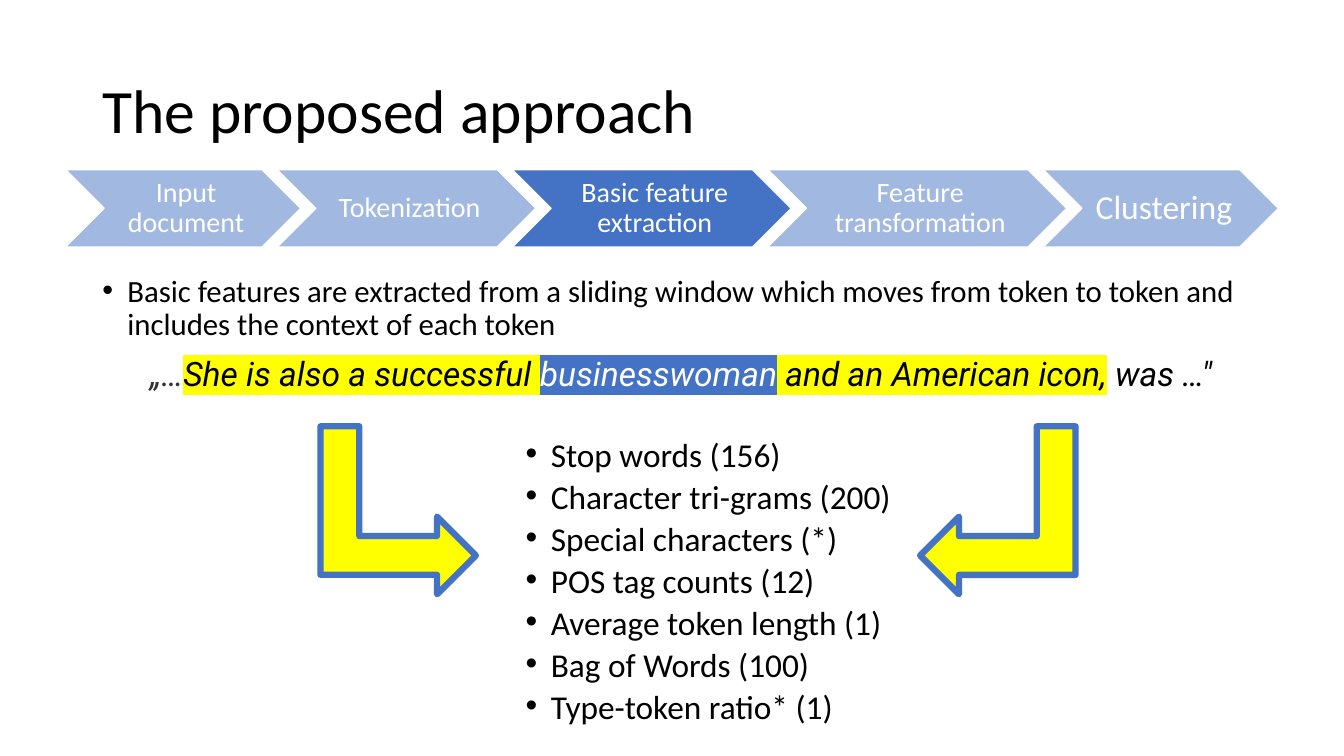
import lxml.etree
import pptx
import pptx.dml.color
import pptx.enum.shapes
import pptx.enum.text
import pptx.oxml.ns
import pptx.util

CELL = 1 / 12
BLUE, YELLOW, BLACK, WHITE = "4472C4", "FFFF00", "000000", "FFFFFF"
SHAPES = pptx.enum.shapes.MSO_SHAPE
ANCHORS = pptx.enum.text.MSO_ANCHOR
CENTER = pptx.enum.text.PP_ALIGN.CENTER


def color(value):
    """Turn a hex string into a colour."""
    return pptx.dml.color.RGBColor.from_string(value)


def cells(*values):
    """Turn grid cells into lengths."""
    return [pptx.util.Inches(v * CELL) for v in values]


def child(parent, tag, **attributes):
    """Append a drawing element to its parent."""
    el = lxml.etree.SubElement(parent, pptx.oxml.ns.qn(tag))
    for name, value in attributes.items():
        el.set(name, value)
    return el


def add_run(p, text, size, value=BLACK, font="Calibri", italic=None, highlight=None):
    """Add one formatted run to a paragraph."""
    r = p.add_run()
    r.text = text
    r.font.size = pptx.util.Pt(size)
    r.font.name = font
    r.font.italic = italic
    r.font.color.rgb = color(value)
    if highlight:
        rpr = r.font._element
        mark = child(rpr, "a:highlight")
        child(mark, "a:srgbClr", val=highlight)
        rpr.find(pptx.oxml.ns.qn("a:solidFill")).addnext(mark)


def add_text(s, box, anchor=ANCHORS.TOP):
    """Add a wrapping text box and return its text frame."""
    tf = s.shapes.add_textbox(*cells(*box)).text_frame
    tf.word_wrap = True
    tf.vertical_anchor = anchor
    return tf


def add_shape(s, kind, box, fill, line, width):
    """Add a filled and outlined preset shape."""
    sp = s.shapes.add_shape(kind, *cells(*box))
    sp.shadow.inherit = False
    sp.fill.solid()
    sp.fill.fore_color.rgb = color(fill)
    sp.line.color.rgb = color(line)
    sp.line.width = pptx.util.Pt(width)
    return sp


def add_title(s, box, text):
    """Add the slide title."""
    p = add_text(s, box, ANCHORS.MIDDLE).paragraphs[0]
    p.line_spacing = 0.9
    add_run(p, text, 44)


def add_bullets(s, box, items, size, spacing):
    """Add a bulleted list."""
    tf = add_text(s, box)
    for i, item in enumerate(items):
        p = tf.add_paragraph() if i else tf.paragraphs[0]
        p.line_spacing = spacing
        p.space_before = pptx.util.Pt(10)
        ppr = p._p.get_or_add_pPr()
        indent = pptx.util.Inches(0.25)
        ppr.set("marL", str(indent))
        ppr.set("indent", str(-indent))
        child(ppr, "a:buFont", typeface="Arial")
        child(ppr, "a:buChar", char="•")
        add_run(p, item, size)


def add_quote(s, box, parts):
    """Add the example sentence with its highlighted window."""
    p = add_text(s, box).paragraphs[0]
    for text, value, highlight in parts:
        add_run(p, text, 24, value, "Roboto", True, highlight)


def add_process(s, box, steps, current, overlap=2.8):
    """Add a chain of chevrons with the current step in full colour."""
    left, top, _, height = box
    for name, width, size in steps:
        sp = add_shape(s, SHAPES.CHEVRON, (left, top, width, height), BLUE, WHITE, 1)
        if name != current:
            clr = sp.fill._xPr.find(".//" + pptx.oxml.ns.qn("a:srgbClr"))
            child(clr, "a:alpha", val="50000")
        tf = sp.text_frame
        tf.word_wrap = True
        tf.vertical_anchor = ANCHORS.MIDDLE
        tf.margin_left = pptx.util.Inches(0.09)
        tf.margin_top = tf.margin_right = tf.margin_bottom = pptx.util.Inches(0.03)
        p = tf.paragraphs[0]
        p.alignment = CENTER
        p.line_spacing = 0.9
        add_run(p, name, size, WHITE)
        left += width - overlap


def add_arrows(s, box, arrow_width=20):
    """Add two mirrored bent arrows at the ends of the box."""
    left, top, width, height = box
    for x, mirrored in ((left, False), (left + width - arrow_width, True)):
        frame = (x, top, arrow_width, height)
        sp = add_shape(s, SHAPES.BENT_UP_ARROW, frame, YELLOW, BLUE, 4.5)
        sp.rotation = 90
        if mirrored:
            sp._element.spPr.xfrm.set("flipV", "1")


def build_approach(prs):
    """Build the slide on the proposed approach."""
    s = prs.slides.add_slide(prs.slide_layouts[6])
    add_title(s, (11, 4.8, 138, 17.4), "The proposed approach")
    add_bullets(s, (11, 32.2, 138, 6.6), [
        "Basic features are extracted from a sliding window which moves "
        "from token to token and includes the context of each token"], 22, 0.9)
    add_quote(s, (16.7, 41.4, 140.8, 6), [
        ("„…", "333333", None),
        ("She is also a successful ", BLACK, YELLOW),
        ("businesswoman", WHITE, BLUE),
        (" and an American icon,", BLACK, YELLOW),
        ("\u00a0was …\"", BLACK, None)])
    add_process(s, (7.8, 20.2, 144.4, 9.2), [
        ("Input document", 28, 20),
        ("Tokenization", 30.8, 20),
        ("Basic feature extraction", 33.2, 20),
        ("Feature transformation", 35.6, 20),
        ("Clustering", 28, 24)], "Basic feature extraction")
    add_bullets(s, (61.4, 52.4, 47.4, 34.8), [
        "Stop words (156)",
        "Character tri-grams (200)",
        "Special characters (*)",
        "POS tag counts (12)",
        "Average token length (1)",
        "Bag of Words (100)",
        "Type-token ratio* (1)"], 23.8, 0.7)
    add_arrows(s, (37.4, 51.5, 91.4, 18.5))


prs = pptx.Presentation()
prs.slide_width, prs.slide_height = cells(160, 90)
build_approach(prs)
prs.save("out.pptx")
